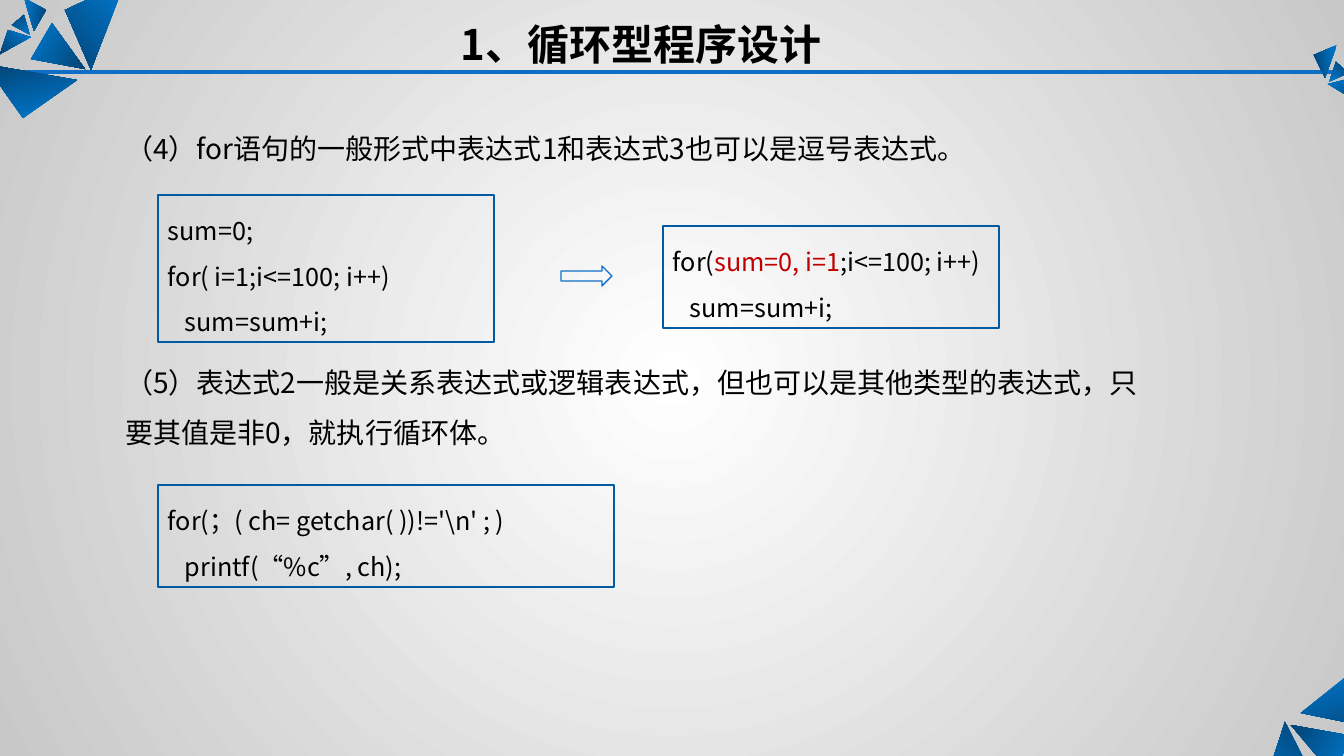
from lxml.etree import SubElement
from pptx import Presentation
from pptx.dml.color import RGBColor
from pptx.enum.shapes import MSO_CONNECTOR, MSO_SHAPE
from pptx.enum.text import MSO_ANCHOR, MSO_AUTO_SIZE, PP_ALIGN
from pptx.oxml.ns import qn
from pptx.util import Pt

FONT = "Noto Sans CJK SC"
COLORS = {
    "text": "000000", "mark": "C00000", "box": "025AA2", "rule": "0F6FC6",
    "light": "007BD3", "dark": "034373", "inner": "FFFFFF", "outer": "C8C8C8",
}
WIDE, HIGH = 1344, 756
SCALE = 12192000 / WIDE

TITLE = ("1、循环型程序设计", (64, 13, 1154, 61))
NOTES = [
    ("（4）for语句的一般形式中表达式1和表达式3也可以是逗号表达式。", (115, 109, 1050, 61)),
    ("（5）表达式2一般是关系表达式或逻辑表达式，但也可以是其他类型的表达式，只要其值是非0，就执行循环体。",
     (115, 343, 1050, 112)),
]
CODES = [
    ((158, 195, 336, 147), [["sum=0;"], ["for( i=1;i<=100; i++)"], ["   sum=sum+i;"]]),
    ((158, 485, 456, 102), [[r"for(；( ch= getchar( ))!='\n' ; )"], ["   printf(“%c”, ch);"]]),
    ((663, 226, 336, 102), [["for(", "sum=0, i=1", ";i<=100; i++)"], ["   sum=sum+i;"]]),
]
MARKED = "sum=0, i=1"
ARROW = (561, 266, 51, 20)
RULE = (3, 72, WIDE, 72)
SHARDS = [
    (224, [(1254, 817), (1285, 722), (1319, 789)]),
    (119, [(1353, 736), (1291, 725), (1332, 774)]),
    (343, [(1356, 669), (1301, 713), (1399, 733)]),
    (45, [(125, -18), (91, 70), (65, 10)]),
    (300, [(31, 59), (85, 69), (52, 23)]),
    (165, [(23, 118), (77, 80), (-15, 64)]),
    (38, [(0, 54), (31, 37), (8, 30)]),
    (143, [(24, 15), (30, 35), (12, 25)]),
    (279, [(46, 10), (34, 31), (24, -2)]),
    (325, [(1358, 102), (1328, 84), (1352, 78)]),
    (220, [(1336, 62), (1329, 82), (1348, 73)]),
    (84, [(1314, 55), (1325, 78), (1337, 45)]),
]


def emu(*sizes):
    return [round(size * SCALE) for size in sizes]


def color(name):
    return RGBColor.from_string(COLORS[name])


def blend(fill, *names):
    fill.gradient()
    for stop, name, place in zip(fill.gradient_stops, names, (0, 1)):
        stop.color.rgb = color(name)
        stop.position = place


def style(run, size, name="text", bold=False):
    font = run.font
    font.size, font.bold = Pt(size), bold
    font.color.rgb = color(name)
    font.name = FONT
    SubElement(run._r.get_or_add_rPr(), qn("a:ea"), typeface=FONT)


def frame(shape, anchor):
    text = shape.text_frame
    text.word_wrap = True
    text.auto_size = MSO_AUTO_SIZE.SHAPE_TO_FIT_TEXT
    text.vertical_anchor = anchor
    return text


def fill_holder(holder, words, place, anchor, align, size, space, bold=False):
    holder.left, holder.top, holder.width, holder.height = emu(*place)
    text = frame(holder, anchor)
    text.text = words
    para = text.paragraphs[0]
    props = para._p.get_or_add_pPr()
    props.set("marL", "0")
    props.set("indent", "0")
    SubElement(props, qn("a:buNone"))
    para.alignment = align
    para.line_spacing = space
    para.space_before = Pt(0)
    style(para.runs[0], size, bold=bold)


def add_outline(slide, kind, place, name, width):
    shape = slide.shapes.add_shape(kind, *emu(*place))
    shape.shadow.inherit = False
    shape.fill.background()
    shape.line.color.rgb = color(name)
    shape.line.width = Pt(width)
    return shape


def add_code(slide, place, lines):
    text = frame(add_outline(slide, MSO_SHAPE.RECTANGLE, place, "box", 1.75), MSO_ANCHOR.MIDDLE)
    for index, parts in enumerate(lines):
        para = text.add_paragraph() if index else text.paragraphs[0]
        para.alignment = PP_ALIGN.LEFT
        para.line_spacing = 1.5
        for part in parts:
            run = para.add_run()
            run.text = part
            style(run, 18, "mark" if part == MARKED else "text")


def add_shard(slide, turn, points):
    path = slide.shapes.build_freeform(*points[0], scale=SCALE)
    path.add_line_segments(points[1:], close=True)
    shape = path.convert_to_shape()
    shape.shadow.inherit = False
    shape.line.fill.background()
    blend(shape.fill, "light", "dark")
    shape.fill.gradient_angle = (270 - turn) % 360


def paint_back(slide):
    blend(slide.background.fill, "inner", "outer")
    line = slide._element.xpath(".//p:bg//a:lin")[0]
    grad = line.getparent()
    grad.remove(line)
    ring = SubElement(grad, qn("a:path"), path="circle")
    SubElement(ring, qn("a:fillToRect"), {side: "50000" for side in "ltrb"})


def main():
    deck = Presentation()
    deck.slide_width, deck.slide_height = emu(WIDE, HIGH)
    slide = deck.slides.add_slide(deck.slide_layouts[3])
    paint_back(slide)

    rule = slide.shapes.add_connector(MSO_CONNECTOR.STRAIGHT, *emu(*RULE))
    rule.line.color.rgb = color("rule")
    rule.line.width = Pt(2.25)
    SubElement(rule._element.spPr, qn("a:effectLst"))
    for turn, points in SHARDS:
        add_shard(slide, turn, points)

    title, *bodies = slide.placeholders
    fill_holder(title, *TITLE, MSO_ANCHOR.TOP, PP_ALIGN.CENTER, 30, 1.0, True)
    for body, (words, place) in zip(bodies, NOTES):
        fill_holder(body, words, place, MSO_ANCHOR.MIDDLE, PP_ALIGN.LEFT, 20, 1.5)
    for place, lines in CODES:
        add_code(slide, place, lines)
    add_outline(slide, MSO_SHAPE.RIGHT_ARROW, ARROW, "rule", 1)
    deck.save("out.pptx")


if __name__ == "__main__":
    main()
